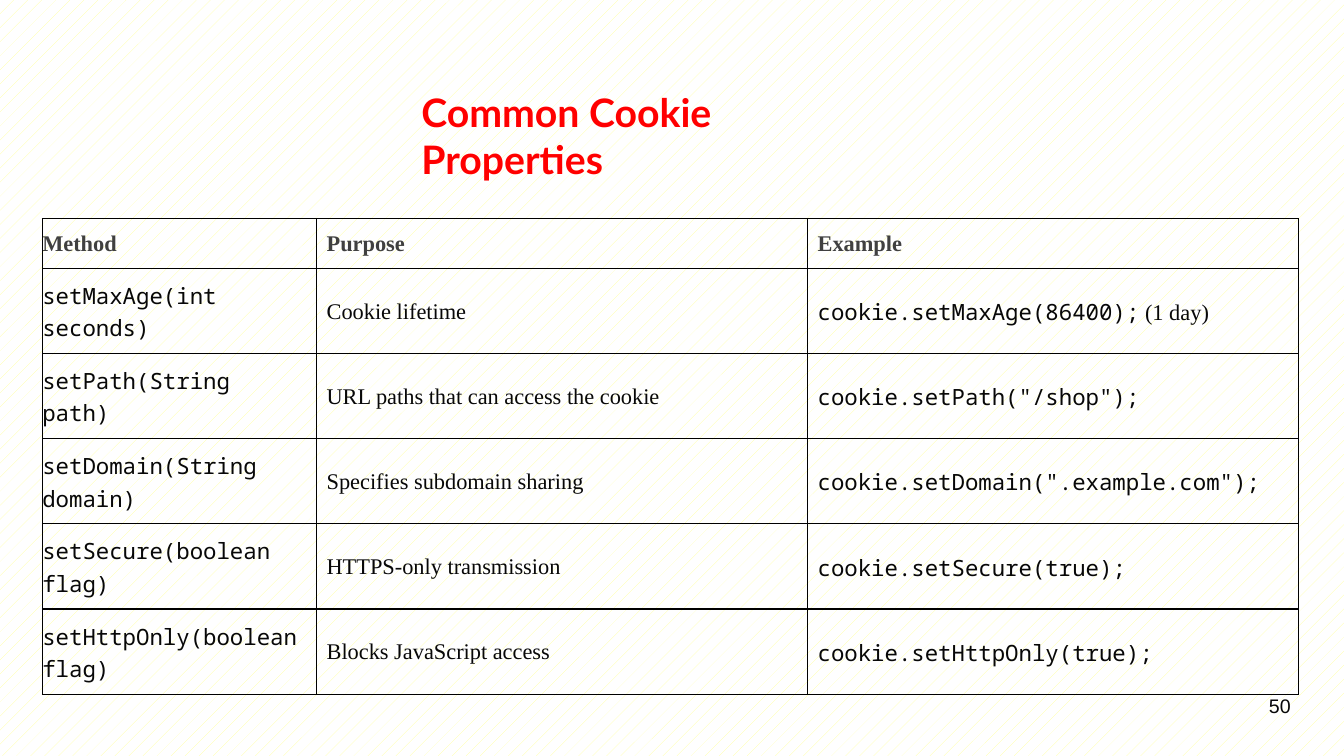
from lxml.etree import SubElement
from pptx import Presentation
from pptx.dml.color import RGBColor
from pptx.enum.dml import MSO_PATTERN
from pptx.enum.text import MSO_ANCHOR, MSO_AUTO_SIZE, PP_ALIGN
from pptx.oxml.ns import qn
from pptx.util import Inches, Pt

COLORS = {"title": "FF0000", "header": "404040", "text": "080808",
          "border": "000000", "hatch": "FFFF99", "paper": "FFFFFF"}
SERIF, MONO = "Times New Roman", "Noto Sans Mono"
COL_WIDTHS = [2.72, 4.87, 4.87]
HEADER_H, ROW_H = 0.49, 0.78
HEADERS = ["Method", "Purpose", "Example"]
PROPERTIES = [
    ("setMaxAge(int seconds)", "Cookie lifetime", "cookie.setMaxAge(86400);"),
    ("setPath(String path)", "URL paths that can access the cookie", 'cookie.setPath("/shop");'),
    ("setDomain(String domain)", "Specifies subdomain sharing", 'cookie.setDomain(".example.com");'),
    ("setSecure(boolean flag)", "HTTPS-only transmission", "cookie.setSecure(true);"),
    ("setHttpOnly(boolean flag)", "Blocks JavaScript access", "cookie.setHttpOnly(true);"),
]


def add_run(p, text, font, size, color, bold=False):
    r = p.add_run()
    r.text = text
    r.font.name, r.font.size, r.font.bold = font, Pt(size), bold
    r.font.color.rgb = RGBColor.from_string(COLORS[color])


def add_borders(cell):
    tcPr = cell._tc.get_or_add_tcPr()
    for i, side in enumerate(("lnL", "lnR", "lnT", "lnB")):
        ln = tcPr.makeelement(qn(f"a:{side}"), {"w": str(Pt(1))})
        fill = SubElement(ln, qn("a:solidFill"))
        SubElement(fill, qn("a:srgbClr"), val=COLORS["border"])
        tcPr.insert(i, ln)


prs = Presentation()
prs.slide_width, prs.slide_height = Inches(13.33), Inches(7.5)
s = prs.slides.add_slide(prs.slide_layouts[5])

bg = s.background.fill
bg.patterned()
bg.pattern = MSO_PATTERN.PERCENT_5
bg.fore_color.rgb = RGBColor.from_string(COLORS["hatch"])
bg.back_color.rgb = RGBColor.from_string(COLORS["paper"])

# Title
title = s.shapes.title
title.left, title.top = Inches(4.08), Inches(0.83)
title.width, title.height = Inches(3.6), Inches(1.04)
tf = title.text_frame
tf.word_wrap, tf.auto_size = True, MSO_AUTO_SIZE.NONE
tf.vertical_anchor = MSO_ANCHOR.TOP
p = tf.paragraphs[0]
p.alignment = PP_ALIGN.LEFT
add_run(p, "Common Cookie Properties", "Lato", 28, "title", True)

# Table of cookie methods
rows = [HEADERS, *PROPERTIES]
table = s.shapes.add_table(
    len(rows), len(HEADERS), Inches(0.42), Inches(2.17),
    Inches(sum(COL_WIDTHS)), Inches(HEADER_H + ROW_H * len(PROPERTIES))).table
table.first_row = table.horz_banding = False
for col, width in zip(table.columns, COL_WIDTHS):
    col.width = Inches(width)

for i, row in enumerate(rows):
    header = i == 0
    table.rows[i].height = Inches(HEADER_H if header else ROW_H)
    for j, text in enumerate(row):
        cell = table.cell(i, j)
        cell.fill.background()
        add_borders(cell)
        cell.vertical_anchor = MSO_ANCHOR.MIDDLE
        cell.margin_left = Inches(0.1 if j else 0)
        cell.margin_right = cell.margin_top = cell.margin_bottom = Inches(0.1)
        p = cell.text_frame.paragraphs[0]
        p.line_spacing = 1.07
        font = SERIF if header or j == 1 else MONO
        add_run(p, text, font, 16, "header" if header else "text", header)

add_run(table.cell(1, 2).text_frame.paragraphs[0], " (1 day)", SERIF, 16, "text")

# Slide number
tf = s.shapes.add_textbox(Inches(9.56), Inches(6.83), Inches(3.34), Inches(0.52)).text_frame
tf.word_wrap = True
p = tf.paragraphs[0]
p.alignment = PP_ALIGN.RIGHT
add_run(p, "50", "Arial", 14, "text")

prs.save("out.pptx")
